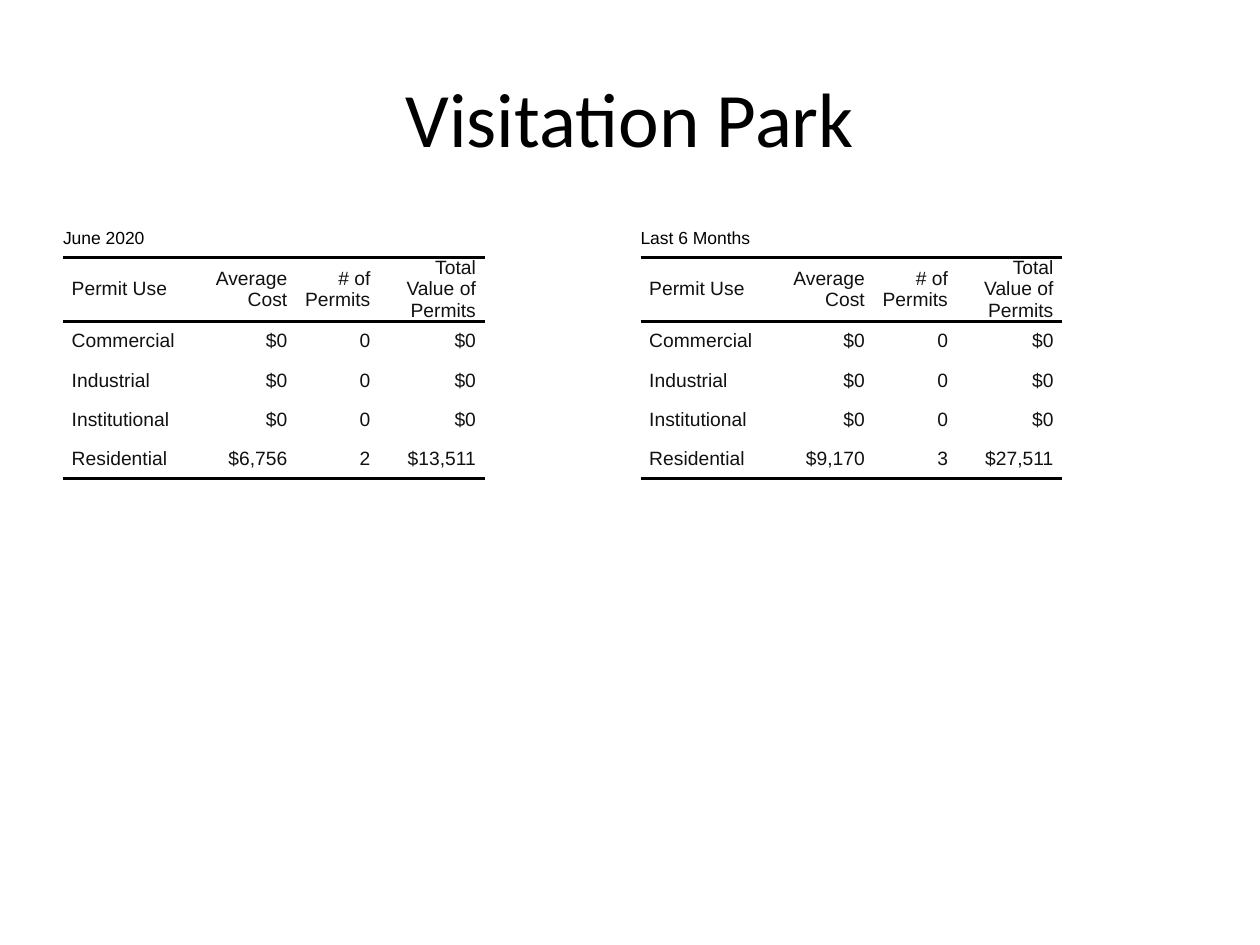
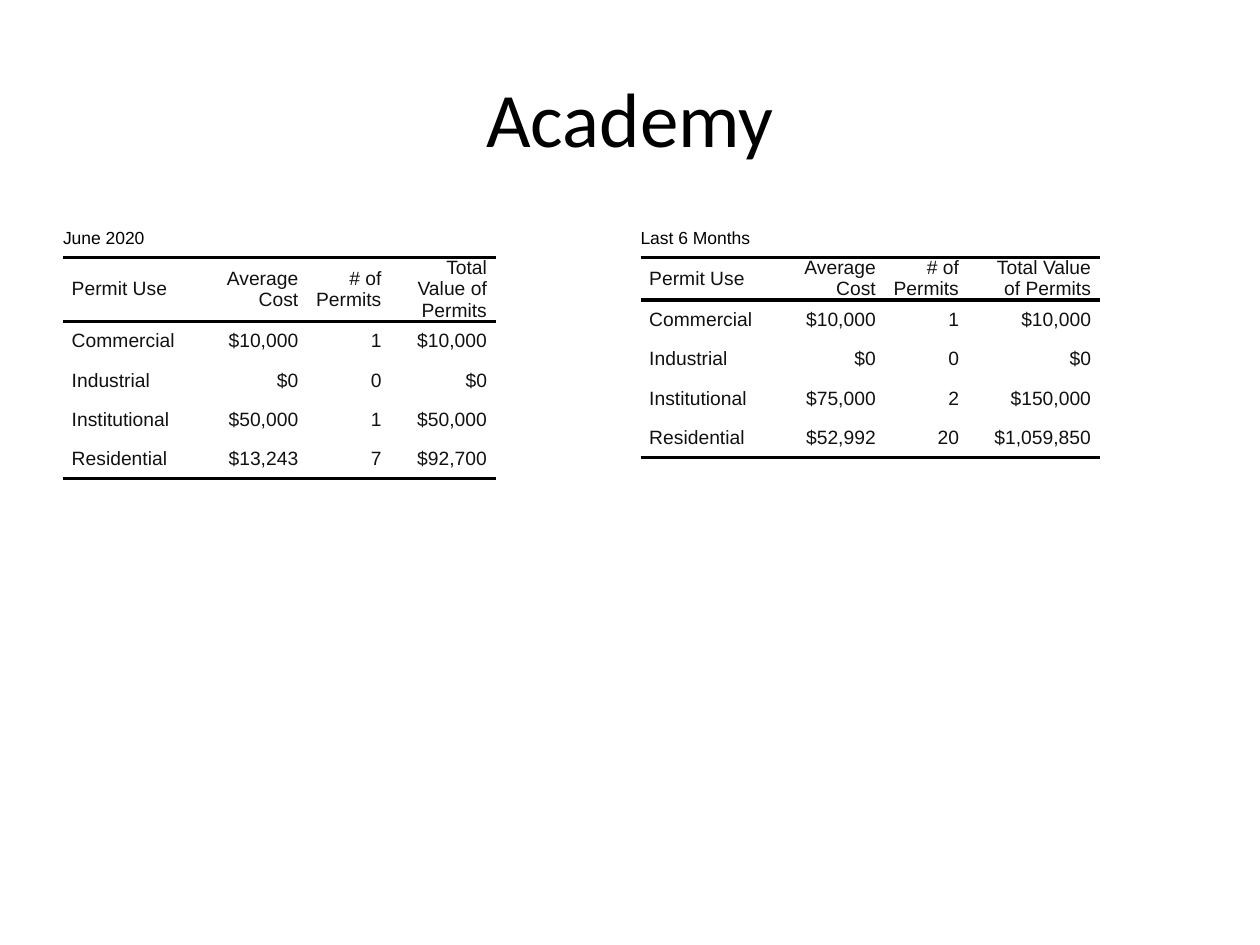
from lxml import etree
from pptx import Presentation
from pptx.dml.color import RGBColor
from pptx.enum.text import MSO_ANCHOR, PP_ALIGN
from pptx.oxml.ns import qn
from pptx.util import Pt

HEADINGS = ("Permit Use", "Average Cost", "# of Permits", "Total Value of Permits")
USES = ("Commercial", "Industrial", "Institutional", "Residential")
JUNE, HALF_YEAR = "June 2020", "Last 6 Months"
PERIOD_LEFT = {JUNE: 36, HALF_YEAR: 366}
PLAIN_TABLE_STYLE = "{2D5ABB26-0587-4C30-8999-92F81FD0307C}"

NEIGHBOURHOODS = {
    "Visitation Park": {
        JUNE: (
            (79.2, 54, 47.5, 60.3),
            (("$0", "0", "$0"), ("$0", "0", "$0"), ("$0", "0", "$0"),
             ("$6,756", "2", "$13,511")),
        ),
        HALF_YEAR: (
            (79.2, 54, 47.5, 60.3),
            (("$0", "0", "$0"), ("$0", "0", "$0"), ("$0", "0", "$0"),
             ("$9,170", "3", "$27,511")),
        ),
    },
    "Academy": {
        JUNE: (
            (79.2, 60.3, 47.5, 60.3),
            (("$10,000", "1", "$10,000"), ("$0", "0", "$0"),
             ("$50,000", "1", "$50,000"), ("$13,243", "7", "$92,700")),
        ),
        HALF_YEAR: (
            (79.2, 60.3, 47.5, 75.5),
            (("$10,000", "1", "$10,000"), ("$0", "0", "$0"),
             ("$75,000", "2", "$150,000"), ("$52,992", "20", "$1,059,850")),
        ),
    },
}


def rgb(hex_colour):
    return RGBColor.from_string(hex_colour)


class PermitDeck:
    black = "000000"
    table_text = "111111"
    heading_font = "Calibri"
    table_font = "Arial"
    rule_width = 2
    cell_indent = 5
    heading_height = 20.9
    row_height = 22.5

    def __init__(self):
        self.deck = Presentation()
        self.deck.slide_width, self.deck.slide_height = Pt(720), Pt(540)
        self.slide = None

    def start_slide(self, name):
        self.slide = self.deck.slides.add_slide(self.deck.slide_layouts[5])
        title = self.slide.shapes.title
        title.left, title.top, title.width, title.height = map(Pt, (36, 21.6, 648, 90))
        title.text_frame.text = name
        title.text_frame.vertical_anchor = MSO_ANCHOR.MIDDLE
        self.style(title.text_frame.paragraphs[0], 44, self.heading_font,
                   self.black, PP_ALIGN.CENTER)

    def style(self, paragraph, size, font, colour, alignment):
        paragraph.alignment = alignment
        paragraph.font.size = Pt(size)
        paragraph.font.name = font
        paragraph.font.color.rgb = rgb(colour)

    def rule(self, cell, side):
        line = etree.SubElement(cell._tc.get_or_add_tcPr(), qn(f"a:ln{side}"),
                                w=str(Pt(self.rule_width)))
        fill = etree.SubElement(line, qn("a:solidFill"))
        etree.SubElement(fill, qn("a:srgbClr"), val=str(rgb(self.black)))

    def cell(self, cell, text, size, colour, alignment=PP_ALIGN.LEFT, indent=0, rules=""):
        cell.margin_left = cell.margin_right = cell.margin_top = cell.margin_bottom = 0
        cell.vertical_anchor = MSO_ANCHOR.MIDDLE
        for side in rules:
            self.rule(cell, side)
        cell.fill.background()
        cell.text = text
        paragraph = cell.text_frame.paragraphs[0]
        properties = paragraph._p.get_or_add_pPr()
        for margin in ("marL", "marR"):
            properties.set(margin, str(Pt(indent)))
        self.style(paragraph, size, self.table_font, colour, alignment)

    def permit_table(self, period, widths, figures):
        rows = [HEADINGS] + [(use, *values) for use, values in zip(USES, figures)]
        frame = self.slide.shapes.add_table(
            len(rows) + 1, len(HEADINGS),
            Pt(PERIOD_LEFT[period]), Pt(126), Pt(318), Pt(356.4))
        table = frame.table
        table.first_row = table.horz_banding = False
        table._tbl.tblPr.find(qn("a:tableStyleId")).text = PLAIN_TABLE_STYLE
        for column, width in zip(table.columns, widths):
            column.width = Pt(width)
        for index, row in enumerate(table.rows):
            row.height = Pt(self.heading_height if index < 2 else self.row_height)

        table.cell(0, 0).merge(table.cell(0, len(HEADINGS) - 1))
        self.cell(table.cell(0, 0), period, 10, self.black)
        rules = {1: "TB", len(rows): "B"}
        for r, values in enumerate(rows, start=1):
            for c, value in enumerate(values):
                self.cell(table.cell(r, c), value, 11, self.table_text,
                          PP_ALIGN.RIGHT if c else PP_ALIGN.LEFT,
                          self.cell_indent, rules.get(r, ""))


def main():
    permits = PermitDeck()
    for name, periods in NEIGHBOURHOODS.items():
        permits.start_slide(name)
        for period, (widths, figures) in periods.items():
            permits.permit_table(period, widths, figures)
    permits.deck.save("out.pptx")


if __name__ == "__main__":
    main()
